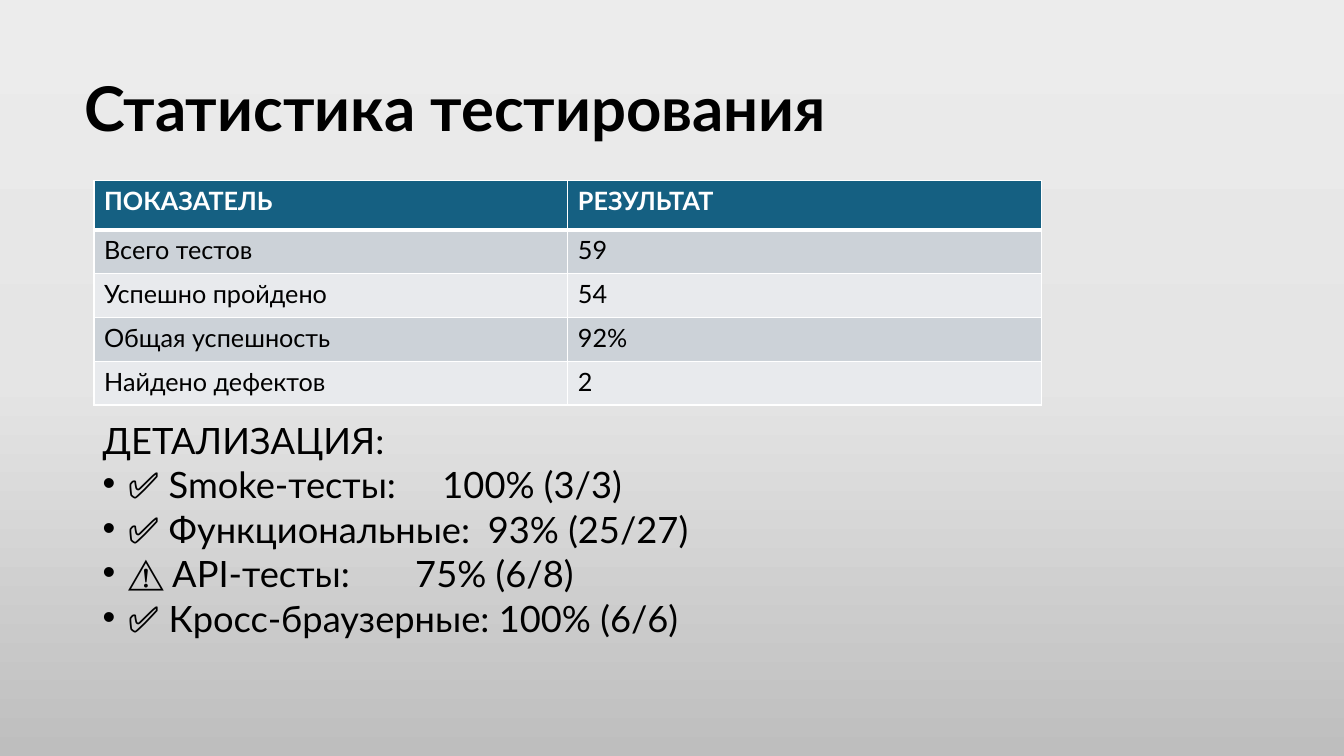
from dataclasses import dataclass

from lxml.etree import SubElement as Sub
from pptx import Presentation
from pptx.dml.color import RGBColor
from pptx.enum.text import MSO_ANCHOR as Anchor
from pptx.oxml.ns import qn
from pptx.util import Inches, Pt

SLIDE_W, SLIDE_H = Inches(13.33), Inches(7.5)


@dataclass(frozen=True)
class Theme:
    font: str = "Lato"
    ink: str = "000000"
    white: str = "FFFFFF"
    header: str = "156082"
    bands: tuple = ("CCD2D8", "E8EAED")
    backdrop: tuple = ((0, "ECECEC"), (50, "E5E5E5"), (100, "BEBEBE"))
    title_size: float = 44
    body_size: float = 25.9
    table_size: float = 18


THEME = Theme()

RESULTS = (
    ("ПОКАЗАТЕЛЬ", "РЕЗУЛЬТАТ"),
    ("Всего тестов", "59"),
    ("Успешно пройдено", "54"),
    ("Общая успешность", "92%"),
    ("Найдено дефектов", "2"),
)
# Label, result and the tab stop of the result in inches (None: a plain space)
DETAILS = (
    ("✅ Smoke-тесты:", "100% (3/3)", 3.37),
    ("✅ Функциональные:", "93% (25/27)", 3.82),
    ("⚠️ API-тесты:", "75% (6/8)", 3.1),
    ("✅ Кросс-браузерные:", "100% (6/6)", None),
)


def area(left, top, width, height):
    """Turn percentages of the slide into a position and a size."""
    return (int(SLIDE_W * left / 100), int(SLIDE_H * top / 100),
            int(SLIDE_W * width / 100), int(SLIDE_H * height / 100))


def write(paragraph, text, size, color=THEME.ink, bold=False, line=None, before=0):
    run = paragraph.add_run()
    run.text = text
    run.font.name = THEME.font
    run.font.size = Pt(size)
    run.font.bold = bold
    run.font.color.rgb = RGBColor.from_string(color)
    paragraph.space_before = Pt(before)
    if line:
        paragraph.line_spacing = line


def add_text_frame(slide, box, anchor=Anchor.TOP):
    frame = slide.shapes.add_textbox(*box).text_frame
    frame.word_wrap = True
    frame.vertical_anchor = anchor
    return frame


def set_bullet(paragraph, tab_stop):
    """Hang the paragraph on a bullet, with one tab stop if given."""
    props = paragraph._p.get_or_add_pPr()
    props.set("marL", str(Inches(0.25)))
    props.set("indent", str(-Inches(0.25)))
    Sub(props, qn("a:buFont"), typeface="Arial")
    Sub(props, qn("a:buChar"), char="•")
    if tab_stop:
        stops = Sub(props, qn("a:tabLst"))
        Sub(stops, qn("a:tab"), pos=str(Inches(tab_stop)), algn="l")


def set_borders(cell, **widths):
    props = cell._tc.get_or_add_tcPr()
    for position, side in enumerate(("lnL", "lnR", "lnT", "lnB")):
        border = props.makeelement(qn(f"a:{side}"), {"w": str(Pt(widths.get(side, 1)))})
        Sub(Sub(border, qn("a:solidFill")), qn("a:srgbClr"), val=THEME.white)
        props.insert(position, border)


def paint_background(slide):
    fill = slide.background.fill
    fill.gradient()
    fill.gradient_angle = 270
    stops = slide.element.find(".//" + qn("a:gsLst"))
    for stop in list(stops):
        stops.remove(stop)
    for percent, color in THEME.backdrop:
        stop = Sub(stops, qn("a:gs"), pos=str(percent * 1000))
        Sub(stop, qn("a:srgbClr"), val=color)


def add_title(slide, text):
    frame = add_text_frame(slide, area(5.55, 8.93, 70.5, 11.6), Anchor.MIDDLE)
    write(frame.paragraphs[0], text, THEME.title_size, bold=True, line=0.9)


def add_results(slide):
    box = area(7, 23.87, 70.5, 29.73)
    table = slide.shapes.add_table(len(RESULTS), len(RESULTS[0]), *box).table
    for index, row in enumerate(RESULTS):
        is_header = index == 0
        table.rows[index].height = Inches(0.49 if is_header else 0.435)
        for column, text in enumerate(row):
            cell = table.cell(index, column)
            cell.fill.solid()
            cell.fill.fore_color.rgb = RGBColor.from_string(
                THEME.header if is_header else THEME.bands[(index - 1) % 2])
            set_borders(cell, lnB=3 if is_header else 1, lnT=3 if index == 1 else 1)
            write(cell.text_frame.paragraphs[0], text, THEME.table_size,
                  color=THEME.white if is_header else THEME.ink, bold=is_header)


def add_details(slide):
    frame = add_text_frame(slide, area(6.9, 56.2, 86.27, 33.9))
    style = {"size": THEME.body_size, "line": 0.7, "before": 10}
    write(frame.paragraphs[0], "ДЕТАЛИЗАЦИЯ:", **style)
    for label, result, tab_stop in DETAILS:
        paragraph = frame.add_paragraph()
        write(paragraph, label + ("\t" if tab_stop else " ") + result, **style)
        set_bullet(paragraph, tab_stop)


def main():
    deck = Presentation()
    deck.slide_width, deck.slide_height = SLIDE_W, SLIDE_H
    slide = deck.slides.add_slide(deck.slide_layouts[6])
    paint_background(slide)
    add_title(slide, "Статистика тестирования")
    add_details(slide)
    add_results(slide)
    deck.save("out.pptx")


if __name__ == "__main__":
    main()
